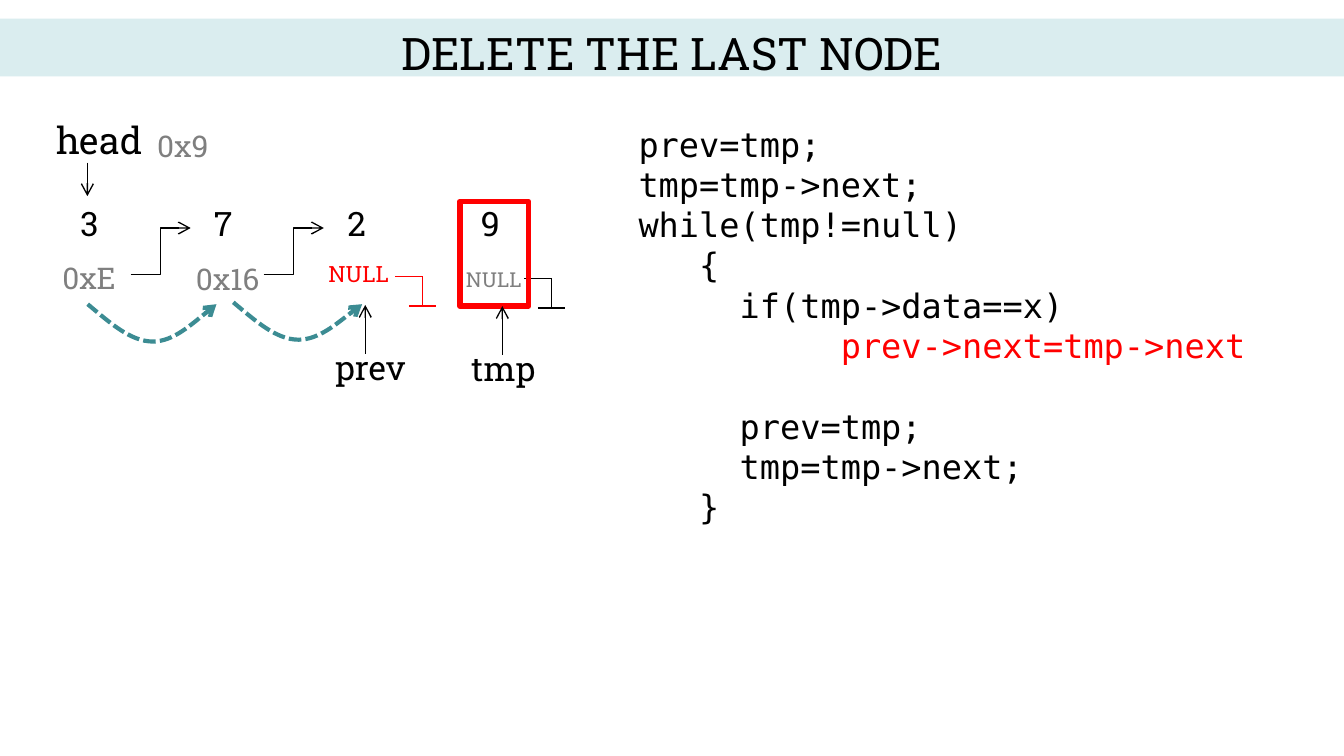
import pptx
import pptx.dml.color
import pptx.enum.dml
import pptx.enum.shapes
import pptx.enum.text
import pptx.oxml
import pptx.oxml.ns
import pptx.util

Pt = pptx.util.Pt
qn = pptx.oxml.ns.qn
SLAB, MONO = "Roboto Slab", "DejaVu Sans Mono"
BLACK, GREY, RED, TEAL, BAND = "000000", "7F7F7F", "FF0000", "3C8C93", "DAEDEF"

CODE = [
    ("prev=tmp;", BLACK, 0),
    ("tmp=tmp->next;", BLACK, 0),
    ("while(tmp!=null)", BLACK, 0),
    ("   {", BLACK, 0),
    ("     if(tmp->data==x)", BLACK, 0),
    ("          prev->next=tmp->next", RED, 0),
    ("     prev=tmp;", BLACK, 21.6),
    ("     tmp=tmp->next;", BLACK, 0),
    ("   }", BLACK, 0),
]


def rgb(value):
    return pptx.dml.color.RGBColor.from_string(value)


def apply(obj, formats):
    for name, value in formats.items():
        setattr(obj, name, value)


def add_run(p, text, size, color, font=SLAB):
    r = p.add_run()
    r.text = text
    apply(r.font, {"name": font, "size": Pt(size)})
    r.font.color.rgb = rgb(color)


def add_label(s, text, x, y, w, h, size, color=BLACK, side=7.2):
    tf = s.shapes.add_textbox(Pt(x), Pt(y), Pt(w), Pt(h)).text_frame
    apply(tf, {"word_wrap": True, "margin_left": Pt(side), "margin_right": Pt(side)})
    add_run(tf.paragraphs[0], text, size, color)


def add_rect(s, x, y, w, h, fill=None, line=None, width=0):
    sp = s.shapes.add_shape(pptx.enum.shapes.MSO_SHAPE.RECTANGLE,
                            Pt(x), Pt(y), Pt(w), Pt(h))
    sp.shadow.inherit = False
    if fill:
        sp.fill.solid()
        sp.fill.fore_color.rgb = rgb(fill)
    else:
        sp.fill.background()
    if line:
        sp.line.color.rgb = rgb(line)
        sp.line.width = Pt(width)
    else:
        sp.line.fill.background()
    return sp


def add_arrowhead(sp):
    tail = pptx.oxml.parse_xml(
        f'<a:tailEnd {pptx.oxml.ns.nsdecls("a")} type="arrow"/>')
    sp.line._get_or_add_ln().append(tail)


def add_line(s, x1, y1, x2, y2, color=BLACK, arrow=False, bent=False):
    kinds = pptx.enum.shapes.MSO_CONNECTOR
    kind = kinds.ELBOW if bent else kinds.STRAIGHT
    sp = s.shapes.add_connector(kind, Pt(x1), Pt(y1), Pt(x2), Pt(y2))
    sp.line.color.rgb = rgb(color)
    sp.line.width = Pt(0.75)
    if arrow:
        add_arrowhead(sp)
    sp._element.spPr.append(pptx.oxml.parse_xml(
        f'<a:effectLst {pptx.oxml.ns.nsdecls("a")}/>'))


def add_ground(s, x, y, color):
    """Null terminator: a lead, a drop and a foot."""
    add_line(s, x, y, x + 14.6, y, color)
    add_line(s, x + 7.3, y + 15.8, x + 21.9, y + 15.8, color)
    add_line(s, x + 14.6, y, x + 14.6, y + 15.8, color)


def add_hop(s, x, y):
    """Dashed curve from one node to the next."""
    points = [(11.4, 10), (22.7, 20.2), (34.2, 20.2),
              (45.7, 20.2), (68.4, 0.8), (68.4, 0.8)]
    builder = s.shapes.build_freeform(x, y, scale=float(Pt(1)))
    builder.add_line_segments([(x + dx, y + dy) for dx, dy in points], close=False)
    sp = builder.convert_to_shape()
    # Turn each three straight segments into one cubic curve
    lines = list(sp._element.iter(qn("a:lnTo")))
    for i in range(0, len(lines), 3):
        curve = pptx.oxml.parse_xml(
            f'<a:cubicBezTo {pptx.oxml.ns.nsdecls("a")}/>')
        lines[i].addprevious(curve)
        for segment in lines[i:i + 3]:
            curve.append(segment[0])
            segment.getparent().remove(segment)
    sp.shadow.inherit = False
    sp.fill.background()
    sp.line.color.rgb = rgb(TEAL)
    apply(sp.line, {"width": Pt(2.25),
                    "dash_style": pptx.enum.dml.MSO_LINE.SQUARE_DOT})
    add_arrowhead(sp)


def add_title(s, text):
    tf = add_rect(s, 0, 10, 720, 31, fill=BAND).text_frame
    apply(tf, {"word_wrap": True,
               "vertical_anchor": pptx.enum.text.MSO_ANCHOR.TOP})
    p = tf.paragraphs[0]
    p.alignment = pptx.enum.text.PP_ALIGN.CENTER
    add_run(p, text, 24, BLACK)


def add_code(s, x, y, w, h):
    tf = s.shapes.add_textbox(Pt(x), Pt(y), Pt(w), Pt(h)).text_frame
    tf.word_wrap = True
    for i, (text, color, gap) in enumerate(CODE):
        p = tf.add_paragraph() if i else tf.paragraphs[0]
        apply(p, {"line_spacing": Pt(21.6), "space_before": Pt(gap)})
        add_run(p, text, 18, color, MONO)


def main():
    prs = pptx.Presentation()
    apply(prs, {"slide_width": Pt(720), "slide_height": Pt(405)})
    s = prs.slides.add_slide(prs.slide_layouts[6])
    add_title(s, "DELETE THE LAST NODE")

    # Head pointer
    add_label(s, "head", 23, 59, 73.5, 34.5, 20)
    add_label(s, "0x9", 84.2, 65, 31, 23, 16, GREY, 0)
    add_line(s, 46.8, 87.1, 46.8, 105.1, arrow=True)

    # Nodes: value above, next address below
    for i, value in enumerate("3729"):
        add_label(s, value, 36 + 71.5 * i, 105, 24, 34.5, 18)
    for text, x, y, w, size, color in [
        ("0xE", 33.4, 135.4, 31, 16, GREY),
        ("0x16", 104.9, 136, 36.7, 16, GREY),
        ("NULL", 175.9, 136, 35.3, 12, RED),
        ("NULL", 249.6, 139.7, 31, 11, GREY),
    ]:
        add_label(s, text, x, y, w, 23, size, color, 0)

    # Links between nodes and null terminators
    for x in (70, 141.3):
        add_line(s, x, 147.2, x + 32.2, 122.2, arrow=True, bent=True)
    add_ground(s, 211.7, 148.1, RED)
    add_ground(s, 280.8, 149.2, BLACK)

    # Node to delete, and the walk along the list
    add_rect(s, 246.4, 108, 36.8, 56, line=RED, width=3)
    add_hop(s, 47.3, 162.6)
    add_hop(s, 125.3, 162.2)

    # Walking pointers
    for text, x, y, arrow_x in [("tmp", 245.5, 183, 269.1), ("prev", 172.6, 182.4, 195.7)]:
        add_line(s, arrow_x, y + 7, arrow_x, y - 19, arrow=True)
        add_label(s, text, x, y, 56, 36, 18)

    add_code(s, 335, 62.6, 360, 204)
    prs.save("out.pptx")


if __name__ == "__main__":
    main()
